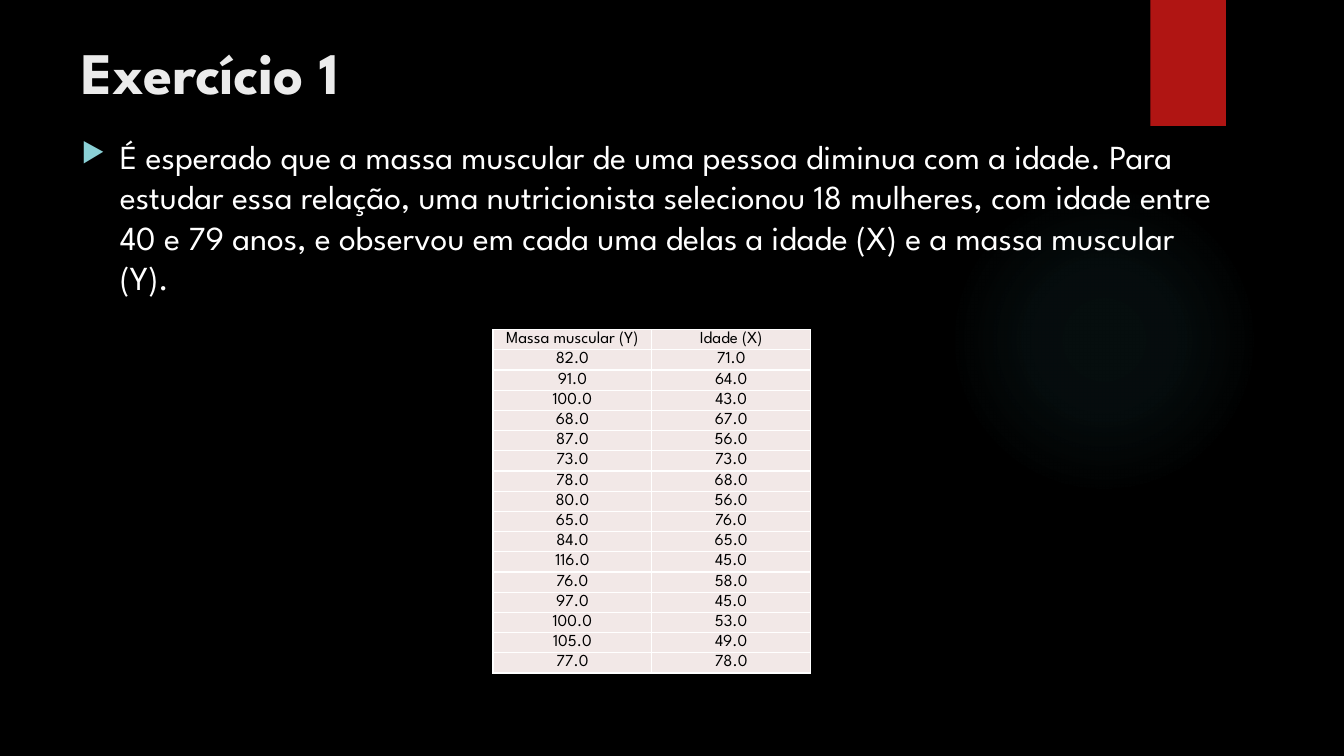
from lxml.etree import SubElement
from pptx import Presentation
from pptx.dml.color import RGBColor
from pptx.enum.shapes import MSO_SHAPE
from pptx.enum.text import MSO_ANCHOR, PP_ALIGN
from pptx.oxml import parse_xml
from pptx.oxml.ns import nsdecls, qn
from pptx.util import Inches, Pt

FONT = "League Spartan"
BLACK = RGBColor(0x00, 0x00, 0x00)
WHITE = RGBColor(0xFF, 0xFF, 0xFF)
TITLE_GRAY = RGBColor(0xEB, 0xEB, 0xEB)
RED = RGBColor(0xB0, 0x15, 0x13)
TEAL = RGBColor(0x50, 0xB9, 0xC1)
BULLET_TEAL = RGBColor(0x8A, 0xD0, 0xD6)
CELL_PINK = RGBColor(0xF2, 0xE8, 0xE7)

STATEMENT = (
    "É esperado que a massa muscular de uma pessoa diminua com a idade. "
    "Para estudar essa relação, uma nutricionista selecionou 18 mulheres, "
    "com idade entre 40 e 79 anos, e observou em cada uma delas a idade (X) "
    "e a massa muscular (Y)."
)
HEADERS = ("Massa muscular (Y)", "Idade (X)")
MEASUREMENTS = [
    (82, 71), (91, 64), (100, 43), (68, 67), (87, 56), (73, 73),
    (78, 68), (80, 56), (65, 76), (84, 65), (116, 45), (76, 58),
    (97, 45), (100, 53), (105, 49), (77, 78),
]


def style_font(paragraph, size, color, bold=False):
    font = paragraph.font
    font.name = FONT
    font.size = Pt(size)
    font.bold = bold
    font.color.rgb = color


def add_plain_shape(slide, kind, left, top, width, height):
    shape = slide.shapes.add_shape(
        kind, Inches(left), Inches(top), Inches(width), Inches(height))
    shape.shadow.inherit = False
    shape.line.fill.background()
    return shape


def add_glow(slide):
    glow = add_plain_shape(slide, MSO_SHAPE.OVAL, 9.41, 1.83, 3.08, 3.08)
    stops = "".join(
        f'<a:gs pos="{position * 1000}"><a:srgbClr val="{TEAL}">'
        f'<a:alpha val="{alpha * 1000}"/></a:srgbClr></a:gs>'
        for position, alpha in ((0, 7), (36, 6), (69, 0)))
    gradient = parse_xml(
        f'<a:gradFill {nsdecls("a")} rotWithShape="1"><a:gsLst>{stops}</a:gsLst>'
        '<a:path path="circle"><a:fillToRect l="50000" t="50000" r="50000" b="50000"/>'
        '</a:path></a:gradFill>')
    glow._element.spPr.find(qn("a:prstGeom")).addnext(gradient)


def add_ribbon(slide):
    ribbon = add_plain_shape(slide, MSO_SHAPE.RECTANGLE, 11.41, 0, 0.75, 1.25)
    ribbon.fill.solid()
    ribbon.fill.fore_color.rgb = RED


def add_text(slide, text, left, top, width, height, anchor):
    box = slide.shapes.add_textbox(
        Inches(left), Inches(top), Inches(width), Inches(height))
    frame = box.text_frame
    frame.word_wrap = True
    frame.vertical_anchor = anchor
    frame.text = text
    return frame.paragraphs[0]


def add_bullet(paragraph):
    properties = paragraph._p.get_or_add_pPr()
    properties.set("marL", str(Inches(0.38)))
    properties.set("indent", str(Inches(-0.38)))
    color = SubElement(properties, qn("a:buClr"))
    SubElement(color, qn("a:srgbClr"), val=str(BULLET_TEAL))
    SubElement(properties, qn("a:buSzPct"), val="80000")
    SubElement(properties, qn("a:buChar"), char="▶")


def add_borders(cell):
    properties = cell._tc.get_or_add_tcPr()
    for index, side in enumerate(("lnL", "lnR", "lnT", "lnB")):
        properties.insert(index, parse_xml(
            f'<a:{side} {nsdecls("a")} w="{Pt(1)}"><a:solidFill>'
            f'<a:srgbClr val="{WHITE}"/></a:solidFill></a:{side}>'))


def fill_cell(cell, text):
    cell.text = text
    cell.vertical_anchor = MSO_ANCHOR.MIDDLE
    cell.margin_left = cell.margin_right = Inches(0.05)
    cell.margin_top = cell.margin_bottom = 0
    cell.fill.solid()
    cell.fill.fore_color.rgb = CELL_PINK
    add_borders(cell)
    paragraph = cell.text_frame.paragraphs[0]
    paragraph.alignment = PP_ALIGN.CENTER
    style_font(paragraph, 12, BLACK)


def add_measurements(slide):
    rows = [HEADERS] + [[f"{value:.1f}" for value in pair] for pair in MEASUREMENTS]
    row_height = Inches(0.18)
    table = slide.shapes.add_table(
        len(rows), len(HEADERS), Inches(4.89), Inches(3.27),
        Inches(3.15), row_height * len(rows)).table
    for table_row, texts in zip(table.rows, rows):
        table_row.height = row_height
        for cell, text in zip(table_row.cells, texts):
            fill_cell(cell, text)


def main():
    presentation = Presentation()
    presentation.slide_width = Inches(13.33)
    presentation.slide_height = Inches(7.5)
    slide = presentation.slides.add_slide(presentation.slide_layouts[6])
    slide.background.fill.solid()
    slide.background.fill.fore_color.rgb = BLACK

    # Decoration
    add_glow(slide)
    add_ribbon(slide)

    # Title and statement
    title = add_text(slide, "Exercício 1", 0.71, 0.31, 10.29, 0.78, MSO_ANCHOR.MIDDLE)
    style_font(title, 42, TITLE_GRAY, bold=True)
    statement = add_text(slide, STATEMENT, 0.71, 1.3, 11.52, 1.97, MSO_ANCHOR.TOP)
    add_bullet(statement)
    style_font(statement, 24, WHITE)

    # Measurements
    add_measurements(slide)

    presentation.save("out.pptx")


if __name__ == "__main__":
    main()
